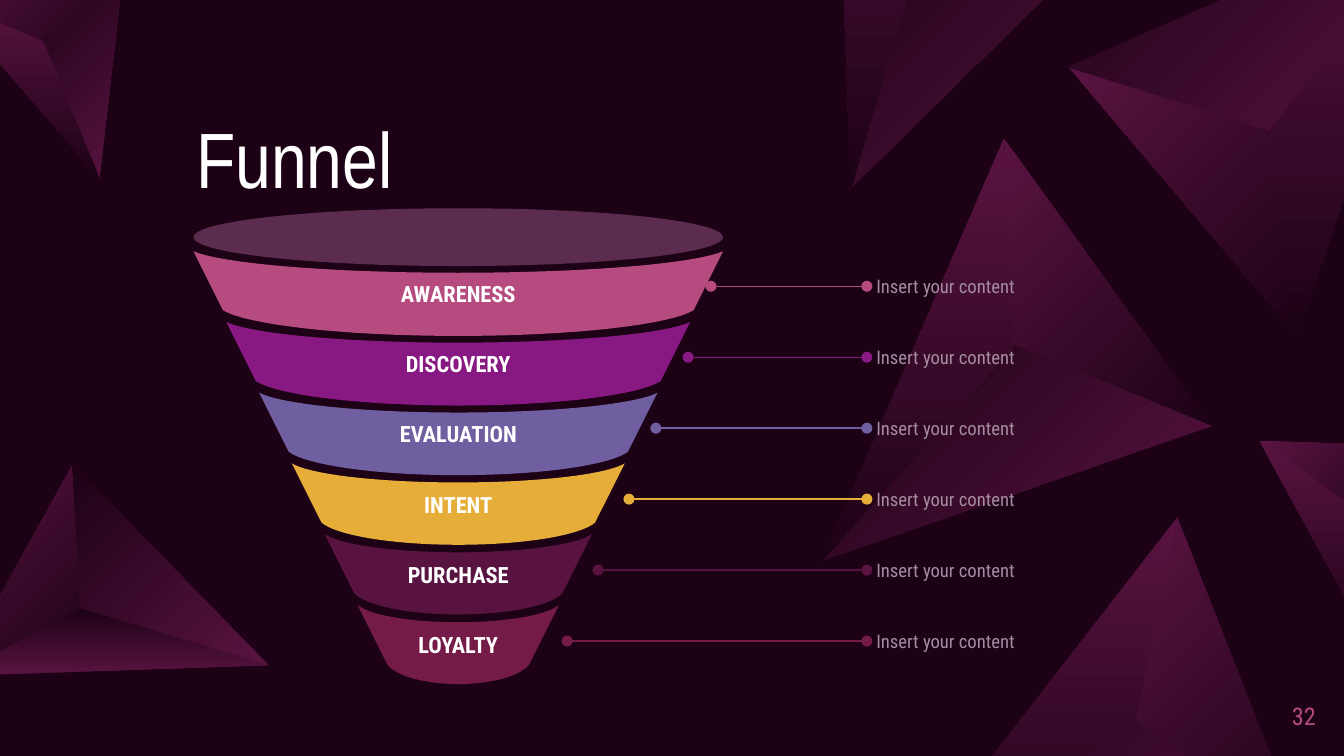
from lxml.etree import SubElement
from pptx import Presentation
from pptx.dml.color import RGBColor
from pptx.enum.shapes import MSO_CONNECTOR, MSO_SHAPE
from pptx.enum.text import MSO_ANCHOR, PP_ALIGN
from pptx.oxml.ns import qn
from pptx.util import Inches, Pt

COLORS = {
    "background": "1D0216", "shard": "591341", "rim": "5C2C4F",
    "white": "FFFFFF", "note": "A58CA2", "number": "B64B7F",
}
BODY_FONT = "Roboto Condensed"
CENTER = 3.41

# Triangular faces of each shard, with the gradient angle of each face
SHARDS = [
    [(315, [(9.65, 2.5), (7.95, 0.5), (9.45, 0.97)]),
     (135, [(7.95, 0.5), (10.75, -0.73), (9.45, 0.97)]),
     (270, [(9.65, 2.5), (9.45, 0.97), (10.75, -0.73)])],
    [(315, [(-0.33, 5.03), (0.54, 3.46), (0.6, 4.53)]),
     (135, [(0.54, 3.46), (2, 4.95), (0.6, 4.53)]),
     (90, [(-0.33, 5.03), (0.6, 4.53), (2, 4.95)])],
    [(315, [(7.47, 1.03), (9.01, 3.17), (7.55, 2.57)]),
     (135, [(9.01, 3.17), (6.12, 4.17), (7.55, 2.57)]),
     (270, [(7.47, 1.03), (7.55, 2.57), (6.12, 4.17)])],
    [(315, [(8.76, 3.85), (9.72, 6.3), (8.45, 5.36)]),
     (135, [(9.72, 6.3), (6.67, 6.55), (8.45, 5.36)]),
     (270, [(8.76, 3.85), (8.45, 5.36), (6.67, 6.55)])],
    [(315, [(9.37, 3.28), (10.73, 3.33), (10.02, 3.74)]),
     (270, [(9.37, 3.28), (10.02, 3.74), (10.22, 4.83)])],
    [(135, [(8.51, -0.74), (6.32, 1.41), (6.93, -0.65)]),
     (270, [(6.21, -2), (6.93, -0.64), (6.33, 1.41)])],
    [(315, [(-0.41, 0), (0.92, -0.24), (0.32, 0.31)]),
     (135, [(0.92, -0.24), (0.74, 1.33), (0.32, 0.31)]),
     (270, [(-0.41, 0), (0.32, 0.31), (0.74, 1.33)])],
]

# Label, colour, left end of the leader line
STAGES = [
    ("AWARENESS", "B64B7F", 5.29),
    ("DISCOVERY", "881882", 5.12),
    ("EVALUATION", "705FA0", 4.88),
    ("INTENT", "E6AE39", 4.68),
    ("PURCHASE", "591341", 4.45),
    ("LOYALTY", "741B47", 4.22),
]


def set_text(shape, text, size, color, font=BODY_FONT, bold=False,
             align=PP_ALIGN.LEFT, anchor=MSO_ANCHOR.MIDDLE):
    frame = shape.text_frame
    frame.text = text
    frame.word_wrap = True
    frame.vertical_anchor = anchor
    frame.margin_left = frame.margin_right = 0
    frame.margin_top = frame.margin_bottom = 0
    paragraph = frame.paragraphs[0]
    paragraph.alignment = align
    run_font = paragraph.runs[0].font
    run_font.name, run_font.size, run_font.bold = font, Pt(size), bold
    run_font.color.rgb = RGBColor.from_string(color)


def sagging_edge(half_width, top, depth, steps=16):
    """Return points of a curve from left to right, lowest at CENTER."""
    left = []
    for step in range(steps + 1):
        t = step / steps
        u = 1 - t
        across = half_width * (u**3 + 2.7 * u**2 * t + 1.5 * u * t**2)
        down = depth * (1.65 * u**2 * t + 3 * u * t**2 + t**3)
        left.append((CENTER - across, top + down))
    return left + [(2 * CENTER - x, y) for x, y in reversed(left[:-1])]


presentation = Presentation()
presentation.slide_width = Inches(10)
presentation.slide_height = presentation.slide_width * 9 // 16
slide = presentation.slides.add_slide(presentation.slide_layouts[5])
slide.background.fill.solid()
slide.background.fill.fore_color.rgb = RGBColor.from_string(COLORS["background"])
shapes = slide.shapes

# Background shards
for shard in SHARDS:
    for angle, face in shard:
        points = [(Inches(x), Inches(y)) for x, y in face]
        builder = shapes.build_freeform(*points[0])
        builder.add_line_segments(points[1:])
        shape = builder.convert_to_shape()
        shape.shadow.inherit = False
        shape.line.fill.background()
        shape.fill.gradient()
        shape.fill.gradient_angle = angle
        for stop, name in zip(shape.fill.gradient_stops, ("shard", "background")):
            stop.color.rgb = RGBColor.from_string(COLORS[name])

# Title and slide number
title = shapes.title
title.left, title.top = Inches(1.46), Inches(0.88)
title.width, title.height = Inches(7.08), Inches(0.65)
set_text(title, "Funnel", 42, COLORS["white"], "Arial Narrow", anchor=MSO_ANCHOR.BOTTOM)
title.text_frame.paragraphs[0].line_spacing = 0.9

number = shapes.add_textbox(Inches(9.35), Inches(5.11), Inches(0.44), Inches(0.43))
set_text(number, "32", 13, COLORS["number"], align=PP_ALIGN.RIGHT)

# Funnel bands with leader lines and notes
for row, (label, color, line_start) in enumerate(STAGES):
    share = row / (len(STAGES) - 1)
    half_width = 1.97 - 1.22 * share
    top = 1.87 + 2.63 * share
    bottom = 2.5 + 2.59 * share
    side = 0.44
    upper = sagging_edge(half_width, top, 0.16 - 0.03 * share)
    lower = sagging_edge(half_width - side / 2, top + side, bottom - top - side)
    points = [(Inches(x), Inches(y)) for x, y in upper + lower[::-1]]
    builder = shapes.build_freeform(*points[0])
    builder.add_line_segments(points[1:])
    band = builder.convert_to_shape()
    band.shadow.inherit = False
    band.fill.solid()
    band.fill.fore_color.rgb = RGBColor.from_string(color)
    band.line.fill.background()
    set_text(band, label, 12, COLORS["white"], bold=True, align=PP_ALIGN.CENTER)

    y = 2.13 + 2.64 * share
    leader = shapes.add_connector(
        MSO_CONNECTOR.STRAIGHT, Inches(line_start), Inches(y), Inches(6.45), Inches(y))
    leader.line.color.rgb = RGBColor.from_string(color)
    leader.line.width = Pt(0.75)
    line_xml = leader.line._get_or_add_ln()
    for end in ("a:headEnd", "a:tailEnd"):
        SubElement(line_xml, qn(end), type="oval")
    SubElement(leader._element.spPr, qn("a:effectLst"))

    note = shapes.add_textbox(Inches(6.52), Inches(y - 0.19), Inches(3.05), Inches(0.38))
    set_text(note, "Insert your content", 10, COLORS["note"])

rim = shapes.add_shape(
    MSO_SHAPE.OVAL, Inches(CENTER - 1.97), Inches(1.55), Inches(3.94), Inches(0.43))
rim.shadow.inherit = False
rim.fill.solid()
rim.fill.fore_color.rgb = RGBColor.from_string(COLORS["rim"])
rim.line.fill.background()

presentation.save("out.pptx")
